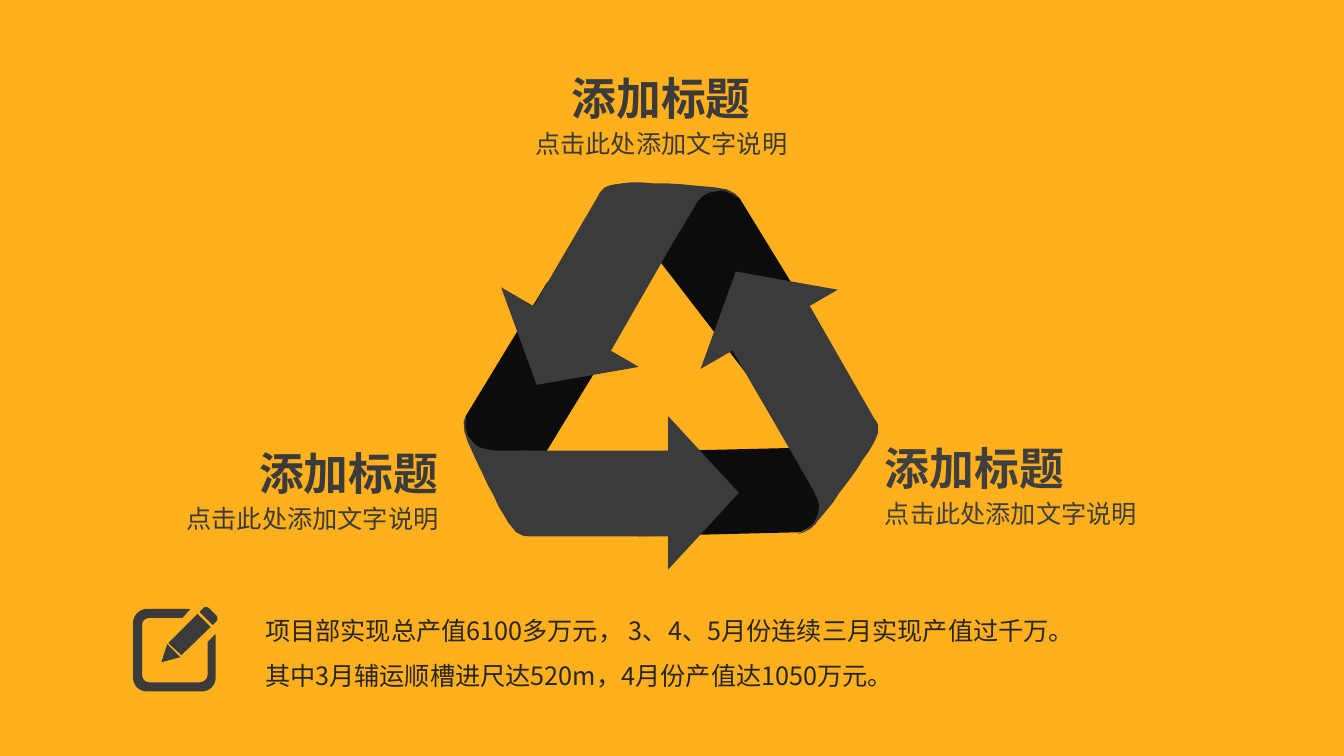
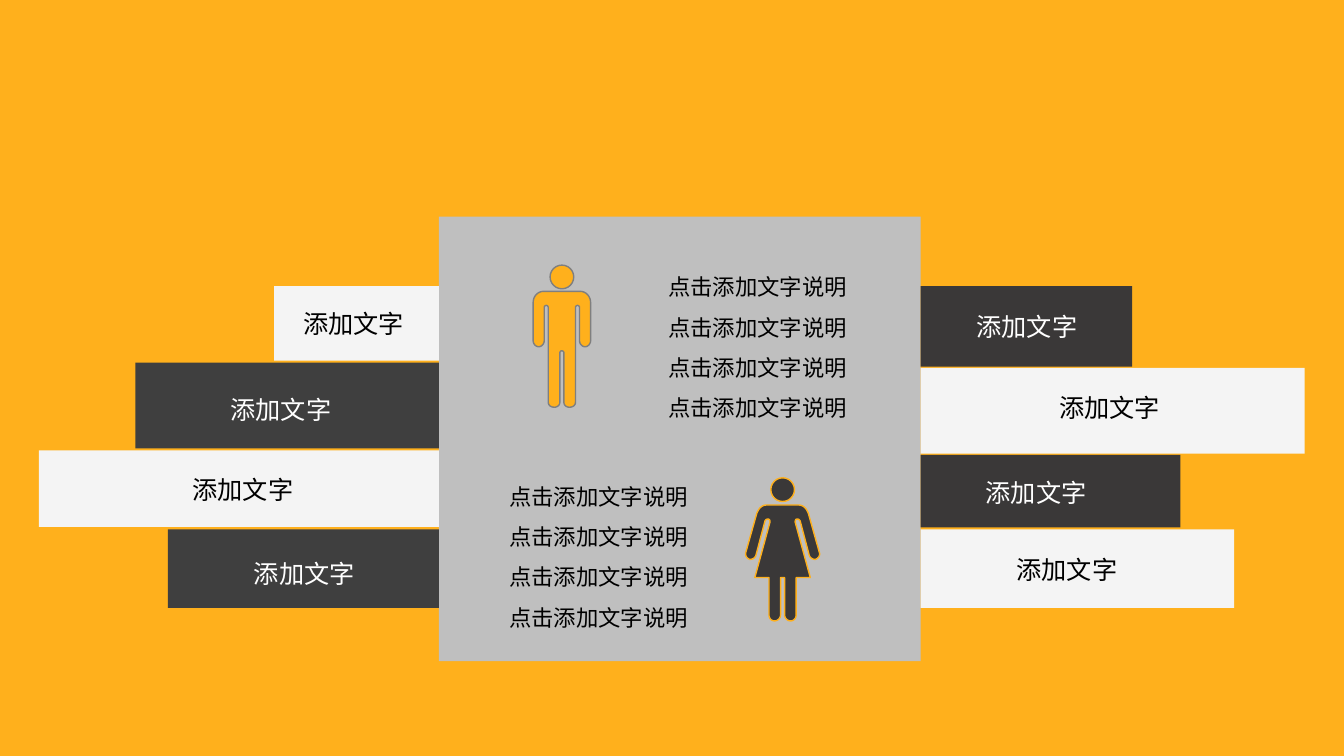
from lxml import etree
from pptx import Presentation
from pptx.dml.color import RGBColor
from pptx.enum.shapes import MSO_SHAPE
from pptx.enum.text import PP_ALIGN
from pptx.oxml.ns import qn
from pptx.util import Cm, Pt

LEFT, CENTER, RIGHT = PP_ALIGN.LEFT, PP_ALIGN.CENTER, PP_ALIGN.RIGHT
RECT, OVAL = MSO_SHAPE.RECTANGLE, MSO_SHAPE.OVAL
TRIANGLE = MSO_SHAPE.ISOSCELES_TRIANGLE

COLORS = {
    "amber": "FFB01C", "fold": "0C0C0C", "arrow": "3B3B3B", "dark": "3F3F3F",
    "brown": "3A3838", "light": "F4F4F4", "panel": "BFBFBF", "gray": "7F7F7F",
    "body": "262626", "black": "000000", "white": "FFFFFF",
}
RGB = {name: RGBColor.from_string(value) for name, value in COLORS.items()}
CJK = "Noto Sans CJK SC"
GRID = Cm(0.0254)  # unit of all outline coordinates
STEPS = 8  # straight pieces per curve


def add_text(s, box, lines, size, color, align=LEFT, bold=False, spacing=1.0, font=CJK):
    tf = s.shapes.add_textbox(*[Cm(v) for v in box]).text_frame
    tf.word_wrap = True
    for i, line in enumerate(lines):
        p = tf.paragraphs[0] if i == 0 else tf.add_paragraph()
        p.alignment = align
        p.line_spacing = spacing
        r = p.add_run()
        r.text = line
        r.font.size = Pt(size)
        r.font.bold = bold
        r.font.color.rgb = RGB[color]
        r.font.name = font
        etree.SubElement(r._r.get_or_add_rPr(), qn("a:ea"), typeface=CJK)


def add_outline(shapes, contours, fill, axis=None):
    """Nodes are (x, y) or a cubic curve of six numbers; axis mirrors a right half."""
    builder = None
    for nodes in contours:
        pts = []
        for node in nodes:
            if len(node) == 2:
                pts.append(node)
                continue
            x0, y0 = pts[-1]
            x1, y1, x2, y2, x3, y3 = node
            for k in range(1, STEPS + 1):
                t = k / STEPS
                a, b, c, d = (1 - t) ** 3, 3 * t * (1 - t) ** 2, 3 * t * t * (1 - t), t ** 3
                pts.append((a * x0 + b * x1 + c * x2 + d * x3,
                            a * y0 + b * y1 + c * y2 + d * y3))
        if axis is not None:
            pts = [(axis + x, y) for x, y in pts] + [(axis - x, y) for x, y in reversed(pts)]
        pts = [(x * GRID, y * GRID) for x, y in pts]
        if builder is None:
            builder = shapes.build_freeform(*pts[0], scale=1.0)
        else:
            builder.move_to(*pts[0])
        builder.add_line_segments(pts[1:], close=True)
    shape = builder.convert_to_shape()
    shape.shadow.inherit = False
    shape.fill.solid()
    shape.fill.fore_color.rgb = RGB[fill]
    shape.line.fill.background()
    return shape


prs = Presentation()
prs.slide_width, prs.slide_height = Cm(33.87), Cm(19.05)

# Shared background
background = prs.slide_master.background.fill
background.solid()
background.fore_color.rgb = RGB["amber"]
blank = prs.slide_layouts[6]

# Slide 1: cycle of three folded arrows
s = prs.slides.add_slide(blank)

# Each arrow: dark fold, shaft, curl, head box and head rotation
arrows = [
    ([(646, 162 + 86), (743, 374), (818, 334), (734, 197), (720, 188), (635, 197)],
     [(593, 371), (675, 228), (636, 206), (596, 190), (516, 327)],
     [(670, 237), (594, 193), (597, 189), (600, 186), (605, 184), (610, 183), (617, 182),
      (626, 181), (636, 181), (648, 182), (662, 182), (678, 183), (688, 184), (710, 186),
      (721, 188), (729, 192), (735, 198), (727, 193), (720, 190), (716, 189), (710, 190),
      (704, 191), (698, 194), (692, 200), (688, 207)],
     (11.94, 8.13, 4.01, 1.68), 210),
    ([(636, 448), (844, 443), (809, 520), (794, 528), (634, 532)],
     [(713, 324), (796, 467), (835, 444), (869, 418), (790, 280)],
     [(793, 462), (869, 417), (871, 421), (871, 430), (869, 435), (866, 441), (862, 448),
      (856, 456), (850, 466), (842, 477), (832, 490), (827, 498), (813, 515), (805, 524),
      (798, 528), (791, 530), (799, 526), (804, 522), (808, 518), (810, 514), (812, 508),
      (813, 502), (811, 495), (808, 488)],
     (16.97, 6.73, 3.99, 1.68), 330),
    ([(619, 322), (514, 494), (461, 429), (462, 413), (543, 280)],
     [(692, 447), (518, 447), (518, 491), (524, 532), (692, 532)],
     [(524, 447), (524, 532), (520, 532), (516, 530), (512, 528), (508, 523), (504, 518),
      (500, 511), (495, 503), (490, 492), (484, 481), (477, 466), (473, 458), (464, 438),
      (461, 428), (460, 419), (462, 412), (462, 424), (464, 432), (467, 436), (471, 441),
      (476, 444), (484, 446), (492, 447)],
     (15.8, 11.53, 3.86, 1.78), 90),
]
for fold, *_ in arrows:
    add_outline(s.shapes, [fold], "fold")
for _, shaft, curl, head_box, angle in arrows:
    group = s.shapes.add_group_shape()
    for part in (shaft, curl):
        add_outline(group.shapes, [part], "arrow")
    head = group.shapes.add_shape(TRIANGLE, *[Cm(v) for v in head_box])
    head.rotation = angle
    head.shadow.inherit = False
    head.fill.solid()
    head.fill.fore_color.rgb = RGB["arrow"]
    head.line.fill.background()

# Captions around the cycle
for x, y, align, color in [(4.19, 11.1, RIGHT, "arrow"), (22.05, 10.97, LEFT, "dark"),
                           (13.11, 1.65, CENTER, "arrow")]:
    add_text(s, (x, y + 1.45, 7.11, 1.02), ["点击此处添加文字说明"], 18, color, align)
    add_text(s, (x, y, 7.11, 1.63), ["添加标题"], 32, color, align, bold=True)

# Summary with its pencil icon
add_text(s, (6.43, 14.99, 23.77, 2.54),
         ["项目部实现总产值6100多万元， 3、4、5月份连续三月实现产值过千万。",
          "其中3月辅运顺槽进尺达520m，4月份产值达1050万元。"], 18, "body", spacing=1.5)
eraser = [(215, 616), (211, 620), (198, 607), (202, 603), (203, 602, 205, 602, 207, 603),
          (215, 611), (216, 613, 216, 615, 215, 616)]
pencil = [(180, 650), (167, 638), (196, 609), (209, 622)]
tip = [(179, 652), (160, 657), (166, 639)]
frame = [(149, 613), (144, 613, 141, 616, 141, 620), (141, 669),
         (141, 674, 144, 677, 149, 677), (197, 677), (202, 677, 206, 674, 206, 669),
         (206, 637), (214, 629), (214, 672), (214, 680, 208, 686, 200, 686), (146, 686),
         (138, 686, 132, 680, 132, 672), (132, 618), (132, 611, 138, 604, 146, 604),
         (189, 604), (181, 613)]
add_outline(s.shapes, [eraser, pencil, tip, frame], "arrow")

# Slide 2: centre panel with bars on both sides
s = prs.slides.add_slide(blank)
PANEL_LEFT, PANEL_RIGHT = 11.06, 23.2

# Left bars end and right bars start at the panel: top, height, width, label x, label y
left_bars = [(7.21, 1.88, 4.15, 7.39, 7.65, "light"), (9.14, 2.16, 7.65, 5.56, 9.8, "dark"),
             (11.35, 1.93, 10.08, 4.6, 11.84, "light"), (13.34, 1.98, 6.83, 6.15, 13.94, "dark")]
right_bars = [(7.21, 2.03, 5.33, 24.36, 7.72, "brown"), (9.27, 2.16, 9.68, 26.44, 9.75, "light"),
              (11.46, 1.83, 6.55, 24.59, 11.91, "brown"), (13.34, 1.98, 7.9, 25.37, 13.84, "light")]
blocks = [(PANEL_LEFT, 5.46, PANEL_RIGHT - PANEL_LEFT, 11.2, "panel")]
blocks += [(PANEL_LEFT - w, y, w, h, fill) for y, h, w, _, _, fill in left_bars]
blocks += [(PANEL_RIGHT, y, w, h, fill) for y, h, w, _, _, fill in right_bars]
for *box, fill in blocks:
    bar = s.shapes.add_shape(RECT, *[Cm(v) for v in box])
    bar.shadow.inherit = False
    bar.fill.solid()
    bar.fill.fore_color.rgb = RGB[fill]
    bar.line.fill.background()
for _, _, _, x, y, fill in left_bars + right_bars:
    add_text(s, (x, y, 3.18, 1.02), ["添加文字"], 18, "black" if fill == "light" else "white")

# Notes in the panel
for x, y in [(16.48, 6.43), (12.47, 11.71)]:
    add_text(s, (x, y, 5.23, 4.32), ["点击添加文字说明"] * 4, 16, "black", CENTER,
             spacing=1.5, font="Lato")

# Figures: right half of each body, mirrored, and a round head
man = [(0, 289), (18, 289), (24, 289, 28.5, 294, 28.5, 300), (28.5, 338),
       (28.5, 341, 26, 344, 23, 344), (20, 344, 17.5, 341, 17.5, 338), (17.5, 305),
       (17.5, 304, 16.5, 303, 15.5, 303), (14.5, 303, 13.5, 304, 13.5, 305), (13.5, 399),
       (13.5, 402, 11, 404, 7.5, 404), (4.5, 404, 2, 402, 2, 399), (2, 350),
       (2, 349, 1, 348, 0, 348)]
woman = [(0, 501), (15.5, 501), (19.5, 501, 22.5, 503, 24.5, 507), (25.5, 509), (36.5, 548),
         (37.5, 551, 35.5, 554, 32.5, 555), (30.5, 555, 27.5, 554, 26.5, 551), (17.5, 517),
         (16.5, 515, 15.5, 515, 14.5, 515), (12.5, 515, 12.5, 517, 12.5, 518), (27.5, 573),
         (13.5, 573), (13.5, 610), (13.5, 613, 11.5, 616, 8, 616),
         (4.5, 616, 2, 613, 2, 610), (2, 573), (0, 573)]
HEAD = 23.5  # head diameter
for body, axis, head_top, fill, line in [(man, 557.5, 263, "amber", "gray"),
                                         (woman, 776.5, 474, "brown", "amber")]:
    figure = add_outline(s.shapes, [body], fill, axis)
    head = s.shapes.add_shape(OVAL, *[int(v * GRID) for v in (axis - HEAD / 2, head_top, HEAD, HEAD)])
    head.shadow.inherit = False
    head.fill.solid()
    head.fill.fore_color.rgb = RGB[fill]
    for part in (figure, head):
        part.line.color.rgb = RGB[line]
        part.line.width = Pt(1)

prs.save("out.pptx")
